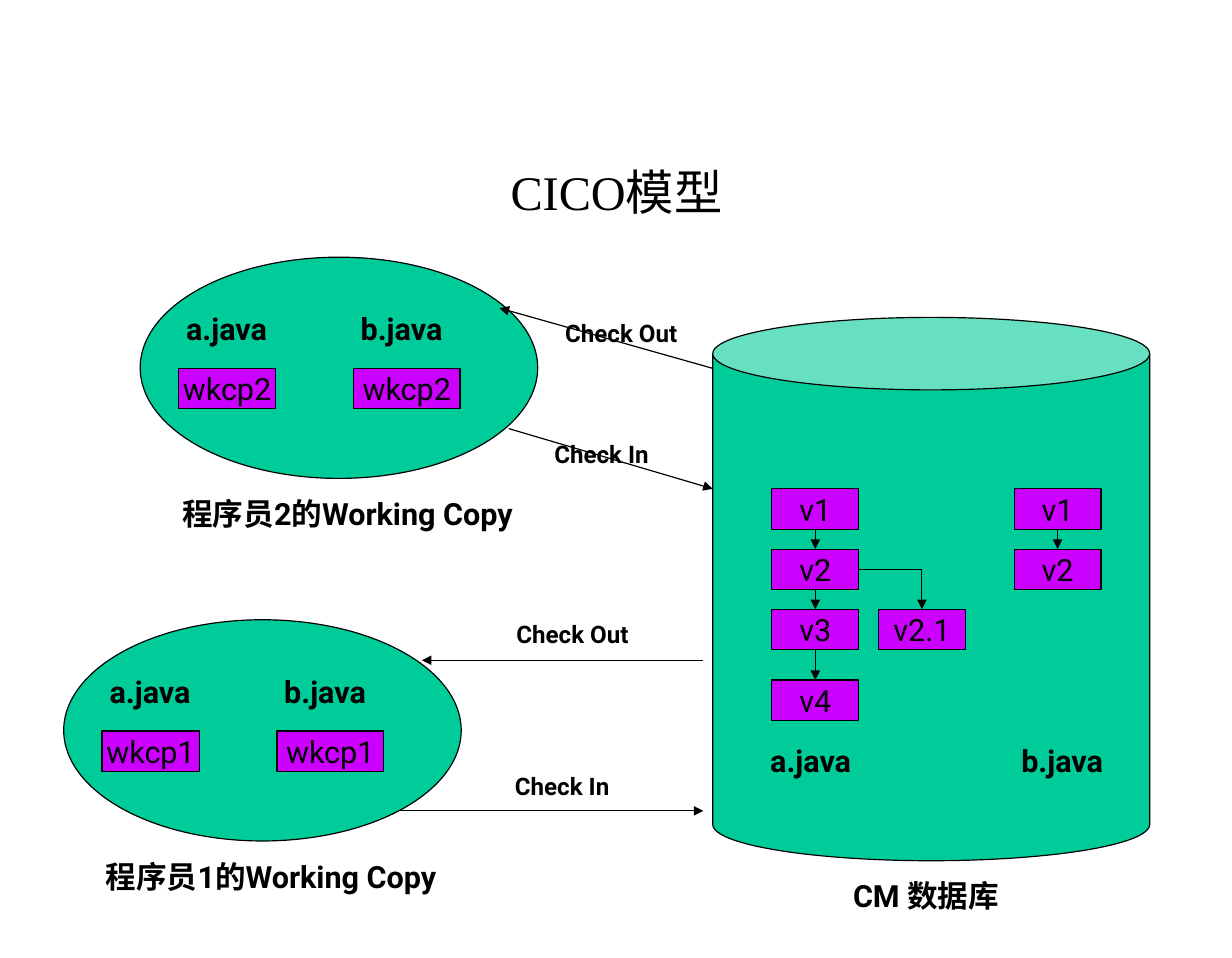
from dataclasses import dataclass

from lxml import etree
from pptx import Presentation
from pptx.dml.color import RGBColor
from pptx.enum.shapes import MSO_CONNECTOR, MSO_SHAPE
from pptx.enum.text import MSO_ANCHOR, PP_ALIGN
from pptx.oxml.ns import qn
from pptx.util import Inches, Pt

STRAIGHT, ELBOW = MSO_CONNECTOR.STRAIGHT, MSO_CONNECTOR.ELBOW
CAN, OVAL, RECTANGLE = MSO_SHAPE.CAN, MSO_SHAPE.OVAL, MSO_SHAPE.RECTANGLE
CENTER, MIDDLE = PP_ALIGN.CENTER, MSO_ANCHOR.MIDDLE
TOP_SITE, BOTTOM_SITE, RIGHT_SITE = 0, 2, 3


@dataclass(frozen=True)
class Theme:
    ink: RGBColor = RGBColor(0x00, 0x00, 0x00)
    store: RGBColor = RGBColor(0x00, 0xCC, 0x99)
    item: RGBColor = RGBColor(0xCC, 0x00, 0xFF)
    title_font: str = "Times New Roman"
    body_font: str = "Roboto"
    title_size: int = 30
    body_size: int = 19
    arrow_size: int = 15
    line_width: float = 0.75


THEME = Theme()
ITEM_HEIGHT = 0.35
VERSION_WIDTH = 0.75
NAME_WIDTH = 1.07


# Basic parts
def write(shape, text, size=THEME.body_size, font=THEME.body_font, bold=False, wrap=False):
    frame = shape.text_frame
    frame.word_wrap = wrap
    frame.vertical_anchor = MIDDLE
    frame.margin_left = frame.margin_right = Inches(0.11)
    frame.margin_top = frame.margin_bottom = Inches(0.05)
    para = frame.paragraphs[0]
    para.text = text
    para.alignment = CENTER
    para.font.name = font
    para.font.size = Pt(size)
    para.font.bold = bold
    para.font.color.rgb = THEME.ink


def add_label(shapes, box, text, size=THEME.body_size):
    label = shapes.add_textbox(*map(Inches, box))
    write(label, text, size, bold=True)


def add_solid(shapes, kind, box, fill):
    solid = shapes.add_shape(kind, *map(Inches, box))
    solid.shadow.inherit = False
    solid.fill.solid()
    solid.fill.fore_color.rgb = fill
    solid.line.color.rgb = THEME.ink
    solid.line.width = Pt(THEME.line_width)
    return solid


def add_item(shapes, box, text):
    item = add_solid(shapes, RECTANGLE, box, THEME.item)
    write(item, text)
    return item


def add_arrow(shapes, start=(0, 0), end=(0, 0), kind=STRAIGHT):
    arrow = shapes.add_connector(kind, *map(Inches, (*start, *end)))
    arrow.line.color.rgb = THEME.ink
    arrow.line.width = Pt(THEME.line_width)
    etree.SubElement(arrow.line._get_or_add_ln(), qn("a:tailEnd"), type="triangle")
    etree.SubElement(arrow._element.spPr, qn("a:effectLst"))
    return arrow


# Title
def add_title(page, box):
    title = page.shapes.add_textbox(*map(Inches, box))
    write(title, "CICO模型", THEME.title_size, THEME.title_font, wrap=True)


# Versions of one file, stacked and joined by arrows
def add_history(shapes, left, top, steps):
    versions = []
    for number, step in enumerate(steps, 1):
        box = (left, top + step, VERSION_WIDTH, ITEM_HEIGHT)
        versions.append(add_item(shapes, box, f"v{number}"))
    for older, newer in zip(versions, versions[1:]):
        arrow = add_arrow(shapes)
        arrow.begin_connect(older, BOTTOM_SITE)
        arrow.end_connect(newer, TOP_SITE)
    return versions


# Database with the histories of both files
def add_database(page, box):
    left, top, width, height = box
    shapes = page.shapes
    can = add_solid(shapes, CAN, box, THEME.store)
    can.adjustments[0] = 0.166

    first_top = top + 1.48
    a_versions = add_history(shapes, left + 0.51, first_top, (0, 0.52, 1.04, 1.65))
    add_history(shapes, left + 2.6, first_top, (0, 0.52))

    branch_box = (left + 1.43, first_top + 1.04, VERSION_WIDTH, ITEM_HEIGHT)
    branch = add_item(shapes, branch_box, "v2.1")
    bend = add_arrow(shapes, kind=ELBOW)
    bend._element.spPr.find(qn("a:prstGeom")).set("prst", "bentConnector2")
    bend.begin_connect(a_versions[1], RIGHT_SITE)
    bend.end_connect(branch, TOP_SITE)

    for offset, name in ((0.31, "a.java"), (2.48, "b.java")):
        add_label(shapes, (left + offset, top + 3.65, NAME_WIDTH, ITEM_HEIGHT), name)
    add_label(shapes, (left + 0.21, top + height - 0.01, 3.26, 0.61), "CM 数据库")


# One programmer's working copy
def add_working_copy(page, box, number):
    left, top, width, height = box
    shapes = page.shapes.add_group_shape().shapes
    add_solid(shapes, OVAL, box, THEME.store)
    for name, offset, item_width in (("a.java", 0.33, 0.84), ("b.java", 1.84, 0.92)):
        item_left = left + offset
        add_label(shapes, (item_left - 0.12, top + 0.44, NAME_WIDTH, ITEM_HEIGHT), name)
        add_item(shapes, (item_left, top + 0.96, item_width, ITEM_HEIGHT), f"wkcp{number}")
    caption = f"程序员{number}的Working Copy"
    add_label(shapes, (left + 0.16, top + height, 3.26, 0.61), caption)


# Labels of the check-out and check-in arrows
def add_transfer_labels(page, places):
    for left, top, text in places:
        add_label(page.shapes, (left, top, 1.42, 0.43), text, THEME.arrow_size)


def main():
    deck = Presentation()
    deck.slide_width, deck.slide_height = Inches(10.63), Inches(8.27)
    page = deck.slides.add_slide(deck.slide_layouts[6])

    add_title(page, (0.8, 1.19, 9.04, 0.92))
    add_database(page, (6.15, 2.74, 3.77, 4.69))

    # The lower arrows run behind the working copy
    add_arrow(page.shapes, (3.39, 7), (6.07, 7))
    add_arrow(page.shapes, (6.07, 5.7), (3.64, 5.7))
    add_working_copy(page, (0.55, 5.35, 3.43, 1.91), 1)

    # The upper arrows run in front of it
    add_working_copy(page, (1.21, 2.22, 3.43, 1.91), 2)
    add_arrow(page.shapes, (4.39, 3.7), (6.15, 4.22))
    add_arrow(page.shapes, (6.15, 3.18), (4.31, 2.66))

    add_transfer_labels(page, (
        (4.65, 2.66, "Check Out"),
        (4.48, 3.7, "Check In"),
        (4.23, 5.26, "Check Out"),
        (4.14, 6.57, "Check In"),
    ))
    deck.save("out.pptx")


if __name__ == "__main__":
    main()
